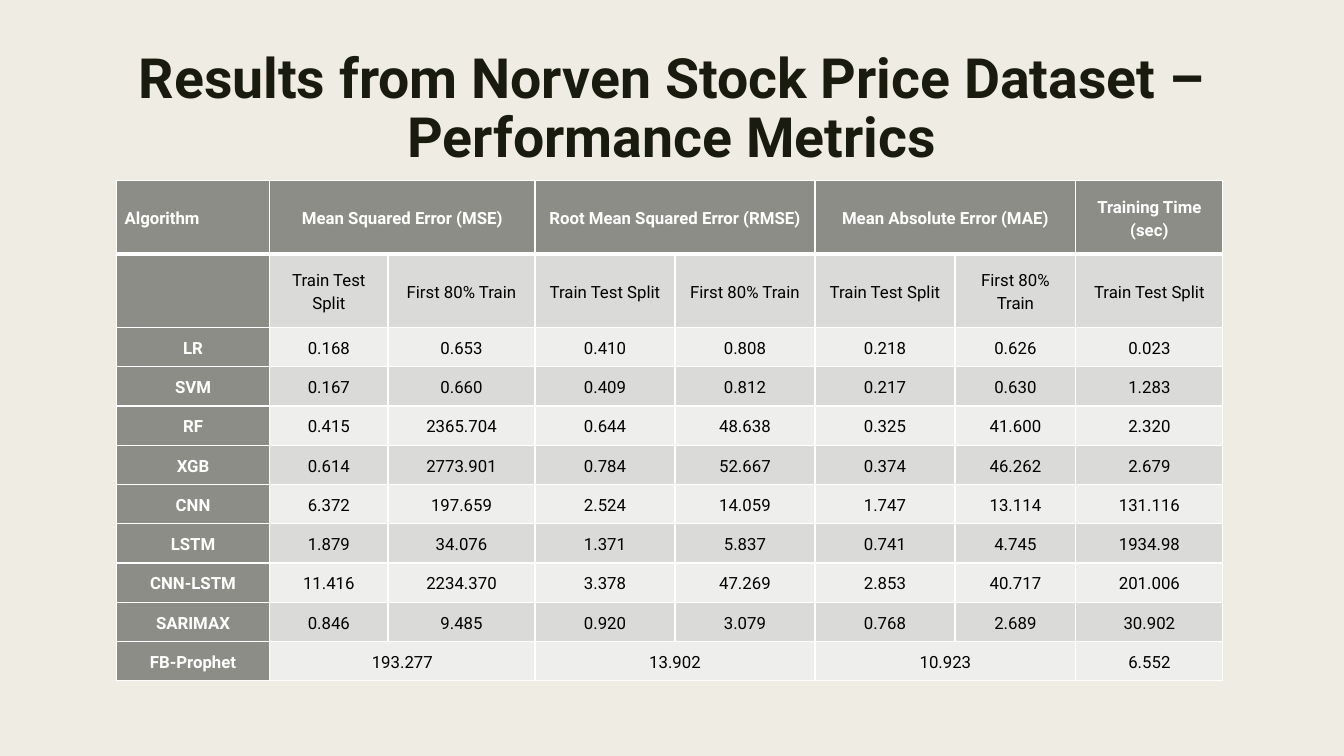
from lxml.etree import SubElement
from pptx import Presentation
from pptx.dml.color import RGBColor
from pptx.enum.shapes import MSO_SHAPE
from pptx.enum.text import MSO_ANCHOR, PP_ALIGN
from pptx.oxml.ns import qn
from pptx.util import Pt

CREAM = RGBColor(0xEF, 0xED, 0xE3)
INK = RGBColor(0x19, 0x1B, 0x0E)
GREY = RGBColor(0x8C, 0x8D, 0x86)
DARK_BAND = RGBColor(0xDA, 0xDB, 0xD9)
LIGHT_BAND = RGBColor(0xEE, 0xEE, 0xED)
WHITE = RGBColor(0xFF, 0xFF, 0xFF)
BLACK = RGBColor(0, 0, 0)
FONT = "Roboto"

SPLIT, FIRST_80 = "Train Test Split", "First 80% Train"
# None marks a cell joined to the one on its left.
RESULTS = [
    ["Algorithm", "Mean Squared Error (MSE)", None, "Root Mean Squared Error (RMSE)", None,
     "Mean Absolute Error (MAE)", None, "Training Time (sec)"],
    ["", SPLIT, FIRST_80, SPLIT, FIRST_80, SPLIT, FIRST_80, SPLIT],
    ["LR", "0.168", "0.653", "0.410", "0.808", "0.218", "0.626", "0.023"],
    ["SVM", "0.167", "0.660", "0.409", "0.812", "0.217", "0.630", "1.283"],
    ["RF", "0.415", "2365.704", "0.644", "48.638", "0.325", "41.600", "2.320"],
    ["XGB", "0.614", "2773.901", "0.784", "52.667", "0.374", "46.262", "2.679"],
    ["CNN", "6.372", "197.659", "2.524", "14.059", "1.747", "13.114", "131.116"],
    ["LSTM", "1.879", "34.076", "1.371", "5.837", "0.741", "4.745", "1934.98"],
    ["CNN-LSTM", "11.416", "2234.370", "3.378", "47.269", "2.853", "40.717", "201.006"],
    ["SARIMAX", "0.846", "9.485", "0.920", "3.079", "0.768", "2.689", "30.902"],
    ["FB-Prophet", "193.277", None, "13.902", None, "10.923", None, "6.552"],
]
COLUMN_WIDTHS = [109.4, 84.6, 105, 100, 100, 100, 86.4, 105]
ROW_HEIGHTS = [52.4] * 2 + [28.05] * 9


def set_borders(cell, top, bottom):
    """Draw white cell edges; top and bottom widths are in points."""
    properties = cell._tc.get_or_add_tcPr()
    for edge, width in (("a:lnL", 1), ("a:lnR", 1), ("a:lnT", top), ("a:lnB", bottom)):
        line = SubElement(properties, qn(edge), w=str(Pt(width)))
        fill = SubElement(line, qn("a:solidFill"))
        SubElement(fill, qn("a:srgbClr"), val=str(WHITE))


presentation = Presentation()
presentation.slide_width, presentation.slide_height = Pt(960), Pt(540)
slide = presentation.slides.add_slide(presentation.slide_layouts[6])
slide.background.fill.solid()
slide.background.fill.fore_color.rgb = CREAM

backdrop = slide.shapes.add_shape(MSO_SHAPE.RECTANGLE, Pt(0), Pt(0), Pt(960), Pt(540))
backdrop.shadow.inherit = False
backdrop.fill.solid()
backdrop.fill.fore_color.rgb = CREAM
backdrop.line.fill.background()

title = slide.shapes.add_textbox(Pt(50.4), Pt(32.8), Pt(859), Pt(116.6)).text_frame
title.word_wrap = True
heading = title.paragraphs[0]
heading.text = "Results from Norven Stock Price Dataset – Performance Metrics"
heading.alignment = PP_ALIGN.CENTER
heading.line_spacing = 0.89
heading.font.name, heading.font.size, heading.font.bold = FONT, Pt(39.6), True
heading.font.color.rgb = INK

metrics = slide.shapes.add_table(
    len(ROW_HEIGHTS), len(COLUMN_WIDTHS), Pt(83.2), Pt(129.2),
    Pt(sum(COLUMN_WIDTHS)), Pt(sum(ROW_HEIGHTS))).table
metrics.first_row = metrics.horz_banding = False
for column, width in zip(metrics.columns, COLUMN_WIDTHS):
    column.width = Pt(width)
for row, height in zip(metrics.rows, ROW_HEIGHTS):
    row.height = Pt(height)

for r, values in enumerate(RESULTS):
    for c, value in enumerate(values):
        cell = metrics.cell(r, c)
        is_header = r == 0 or c == 0
        set_borders(cell, top=3 if r == 1 else 1, bottom=3 if r == 0 else 1)
        cell.fill.solid()
        cell.fill.fore_color.rgb = GREY if is_header else DARK_BAND if r % 2 else LIGHT_BAND
        if value is None:
            metrics.cell(r, c - 1).merge(cell)
            continue
        cell.vertical_anchor = MSO_ANCHOR.MIDDLE
        cell.margin_left = cell.margin_right = Pt(5.76)
        cell.margin_top = cell.margin_bottom = Pt(0)
        paragraph = cell.text_frame.paragraphs[0]
        paragraph.text = value
        paragraph.alignment = PP_ALIGN.LEFT if r == c == 0 else PP_ALIGN.CENTER
        paragraph.line_spacing = 1.15
        paragraph.space_after = Pt(8)
        paragraph.font.name, paragraph.font.size = FONT, Pt(12)
        paragraph.font.bold = is_header
        paragraph.font.color.rgb = WHITE if is_header else BLACK

presentation.save("out.pptx")
